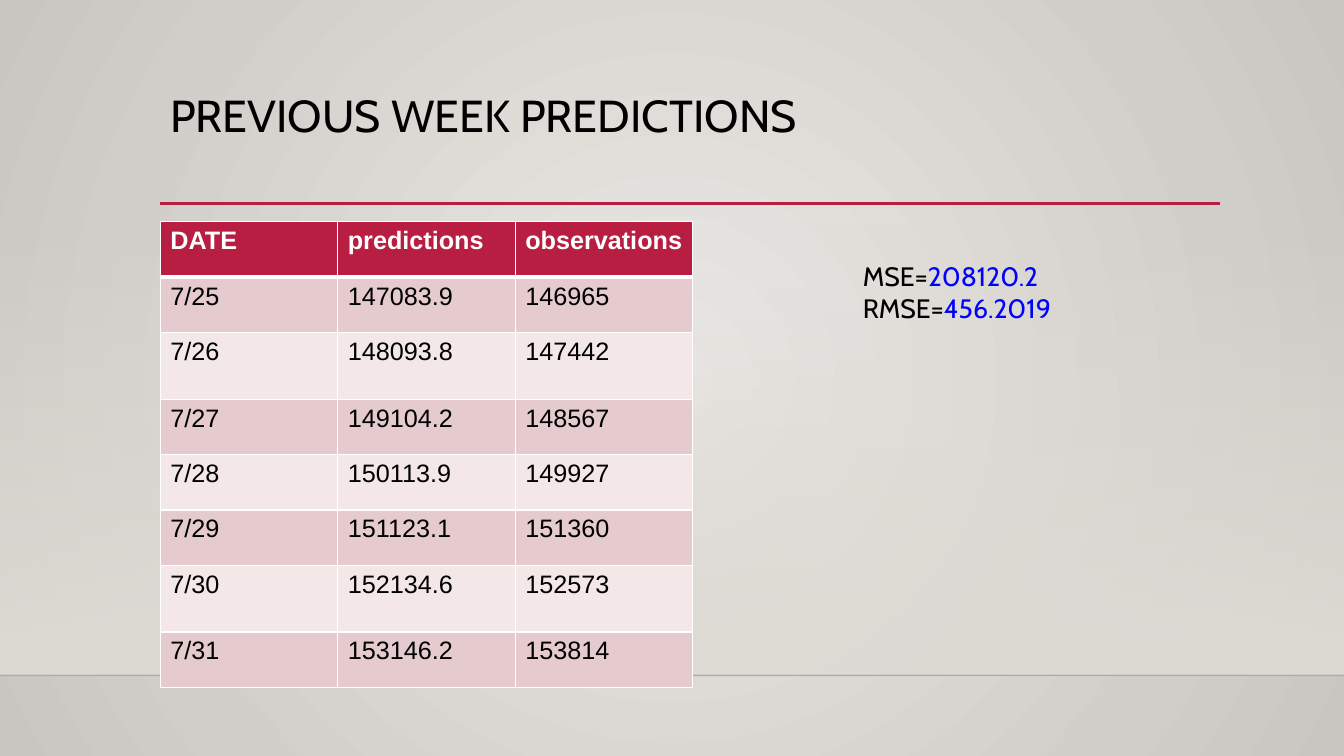
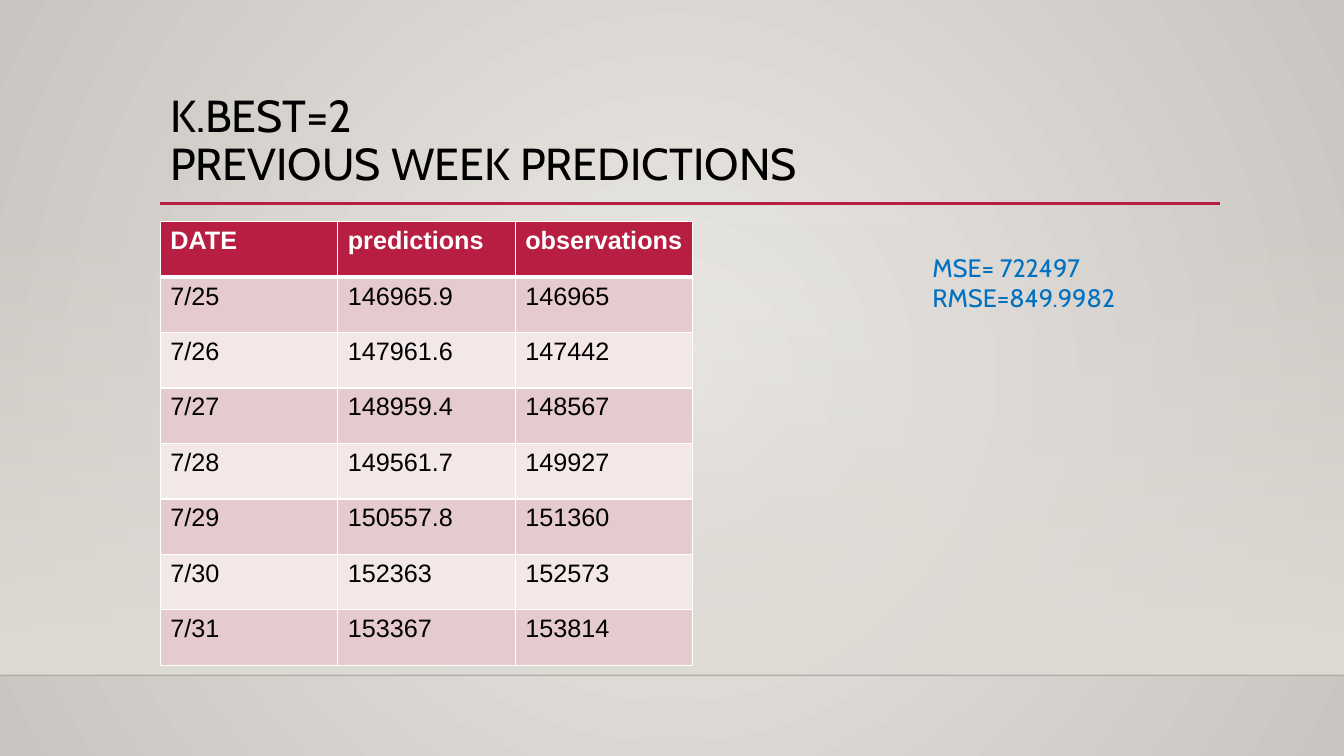
import pptx
import pptx.dml.color
import pptx.enum.shapes
import pptx.oxml
import pptx.oxml.ns
import pptx.util
from pptx.util import Inches

COLORS = {
    "glow": "EBE9E6", "edge": "C9C5C0", "wall": "DFDBD5", "floor": "000001",
    "accent": "B71E42", "band_dark": "E5CBCD", "band_light": "F3E7E8",
    "white": "FFFFFF", "black": "000000", "blue": "0000FF", "sky": "0070C0",
}
TITLE_FONT, TABLE_FONT = "Cabin", "Arial"
SLIDE_W, SLIDE_H = 13.33, 7.5
LEFT, FLOOR_Y = 1.59, 6.7
COL_W, ROW_H, TALL_ROW_H = 1.76, 0.55, 0.66

HEADER = ["DATE", "predictions", "observations"]
DATES = [f"7/{day}" for day in range(25, 32)]
OBSERVATIONS = ["146965", "147442", "148567", "149927", "151360", "152573", "153814"]
PREDICTIONS = ["147083.9", "148093.8", "149104.2", "150113.9", "151123.1",
               "152134.6", "153146.2"]
K_BEST_PREDICTIONS = ["146965.9", "147961.6", "148959.4", "149561.7", "150557.8",
                      "152363", "153367"]


def rgb(name):
    return pptx.dml.color.RGBColor.from_string(COLORS[name])


def sub(parent, tag, **attrs):
    """Append a DrawingML child element."""
    child = pptx.oxml.parse_xml(f"<a:{tag} {pptx.oxml.ns.nsdecls('a')}/>")
    for key, value in attrs.items():
        child.set(key, str(value))
    parent.append(child)
    return child


def set_gradient(fill, first, last):
    fill.gradient()
    for stop, color, position in zip(fill.gradient_stops, (first, last), (0, 1)):
        stop.color.rgb = rgb(color)
        stop.position = position


def add_run(p, text, size, color, font=TITLE_FONT, bold=False):
    r = p.add_run()
    r.text = text
    r.font.size = pptx.util.Pt(size)
    r.font.name = font
    r.font.bold = bold
    r.font.color.rgb = rgb(color)


def add_rule(s, x1, x2, y, color, width, opacity=None):
    line = s.shapes.add_connector(pptx.enum.shapes.MSO_CONNECTOR.STRAIGHT,
                                  Inches(x1), Inches(y), Inches(x2), Inches(y))
    line.line.color.rgb = rgb(color)
    line.line.width = pptx.util.Pt(width)
    if opacity is not None:
        sub(line._element.xpath(".//a:srgbClr")[0], "alpha", val=opacity * 1000)
    sub(line._element.spPr, "effectLst")


def add_text_box(s, x, y, w, h, inset_y=0.05):
    tf = s.shapes.add_textbox(Inches(x), Inches(y), Inches(w), Inches(h)).text_frame
    tf.word_wrap = True
    tf.margin_left = tf.margin_right = Inches(0.1)
    tf.margin_top = tf.margin_bottom = Inches(inset_y)
    return tf


def add_backdrop(s):
    # Radial background
    set_gradient(s.background.fill, "glow", "edge")
    grad = s._element.xpath(".//p:bg//a:gradFill")[0]
    for lin in grad.xpath("./a:lin"):
        grad.remove(lin)
    circle = sub(grad, "path", path="circle")
    sub(circle, "fillToRect", l=50000, t=50000, r=50000, b=50000)

    # Wall fading in down to the floor line
    wall = s.shapes.add_shape(pptx.enum.shapes.MSO_SHAPE.RECTANGLE, 0, Inches(2.21),
                              Inches(SLIDE_W), Inches(FLOOR_Y - 2.21))
    wall.shadow.inherit = False
    wall.line.fill.background()
    set_gradient(wall.fill, "wall", "wall")
    wall.fill.gradient_angle = 270
    sub(wall._element.xpath(".//a:gs/a:srgbClr")[0], "alpha", val=0)
    add_rule(s, 0, SLIDE_W, FLOOR_Y, "floor", 1, opacity=20)


def add_title(s, lines):
    add_rule(s, LEFT, 12.1, 2.02, "accent", 2.5)
    p = add_text_box(s, LEFT, 0.88, 10.5, 1.15).paragraphs[0]
    p.line_spacing = 0.9
    for i, line in enumerate(lines):
        if i:
            p.add_line_break()
        add_run(p, line, 32, "black")


def add_scores(s, box, lines, size, inset_y=0.05):
    """Each line is a list of (text, color) runs."""
    tf = add_text_box(s, *box, inset_y=inset_y)
    for i, runs in enumerate(lines):
        p = tf.add_paragraph() if i else tf.paragraphs[0]
        for text, color in runs:
            add_run(p, text, size, color)


def set_borders(cell, top, bottom):
    tcPr = cell._tc.get_or_add_tcPr()
    for i, (side, width) in enumerate(zip("LRTB", (1, 1, top, bottom))):
        ln = sub(tcPr, "ln" + side, w=pptx.util.Pt(width))
        sub(sub(ln, "solidFill"), "srgbClr", val=COLORS["white"])
        tcPr.insert(i, ln)  # borders precede the fill


def add_results_table(s, predictions, tall_rows=()):
    rows = [HEADER, *zip(DATES, predictions, OBSERVATIONS)]
    heights = [TALL_ROW_H if i in tall_rows else ROW_H for i in range(len(rows))]
    table = s.shapes.add_table(len(rows), len(HEADER), Inches(LEFT), Inches(2.2),
                               Inches(COL_W * len(HEADER)), Inches(sum(heights))).table
    for column in table.columns:
        column.width = Inches(COL_W)
    for i, values in enumerate(rows):
        table.rows[i].height = Inches(heights[i])
        is_header = i == 0
        fill = "accent" if is_header else "band_dark" if i % 2 else "band_light"
        for j, value in enumerate(values):
            cell = table.cell(i, j)
            cell.fill.solid()
            cell.fill.fore_color.rgb = rgb(fill)
            set_borders(cell, top=3 if i == 1 else 1, bottom=3 if is_header else 1)
            add_run(cell.text_frame.paragraphs[0], value, 18,
                    "white" if is_header else "black", TABLE_FONT, is_header)


def add_slide(prs, title_lines):
    s = prs.slides.add_slide(prs.slide_layouts[6])
    add_backdrop(s)
    add_title(s, title_lines)
    return s


def main():
    prs = pptx.Presentation()
    prs.slide_width, prs.slide_height = Inches(SLIDE_W), Inches(SLIDE_H)

    # Previous week
    s = add_slide(prs, ["PREVIOUS WEEK PREDICTIONS"])
    add_scores(s, (8.46, 2.48, 3.1, 1.38),
               [[("MSE=", "black"), ("208120.2", "blue")],
                [("RMSE=", "black"), ("456.2019", "blue")]], 19, inset_y=0.1)
    add_results_table(s, PREDICTIONS, tall_rows=(2, 6))

    # Previous week with k.best = 2
    s = add_slide(prs, ["K.BEST=2", "PREVIOUS WEEK PREDICTIONS"])
    add_scores(s, (9.15, 2.45, 2.84, 1.01),
               [[("MSE= 722497", "sky")], [("RMSE=849.9982", "sky")]], 18)
    add_results_table(s, K_BEST_PREDICTIONS)

    prs.save("out.pptx")


if __name__ == "__main__":
    main()
